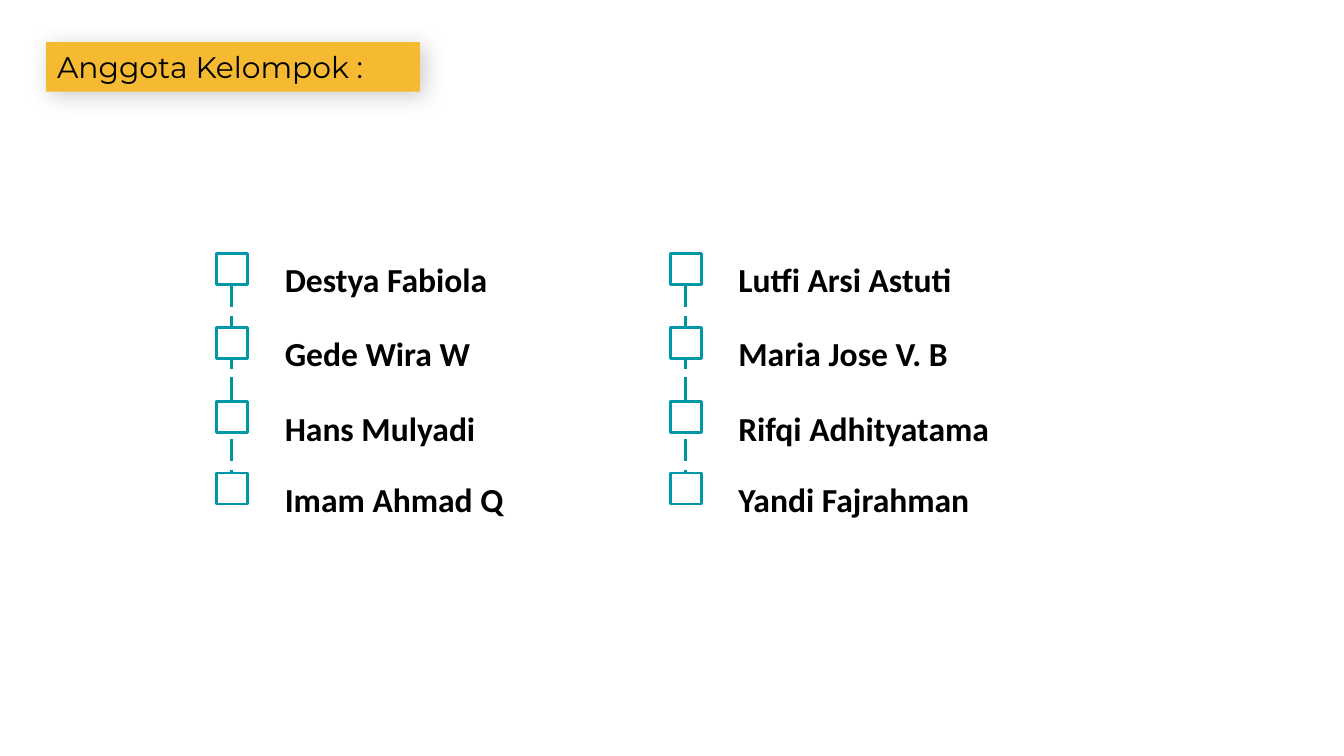
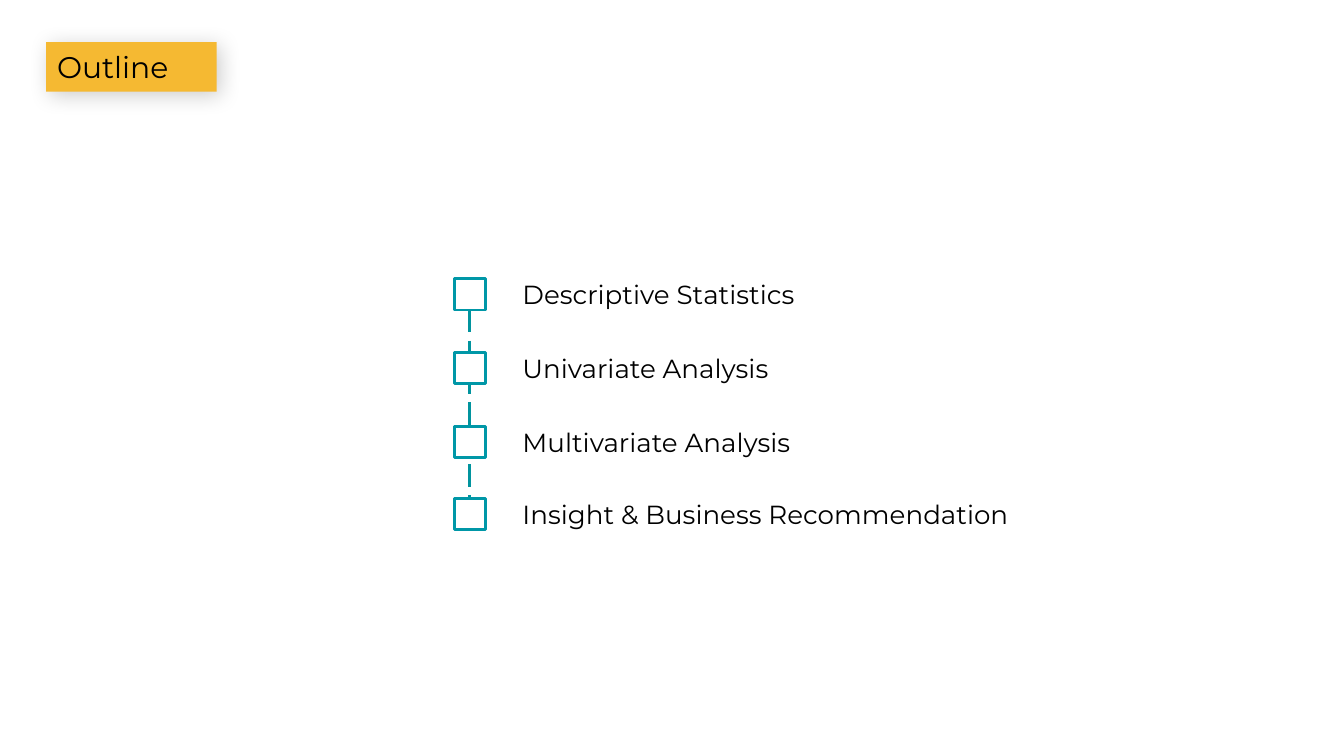
"""Build the group members slide and the outline slide."""
from dataclasses import dataclass
from itertools import pairwise
from typing import Any

from lxml import etree
from pptx import Presentation
from pptx import util as u
from pptx.dml.color import RGBColor
from pptx.enum import dml, shapes, text
from pptx.oxml import parse_xml
from pptx.oxml.ns import nsdecls, qn

PX = 5715
POINTS_PER_PX = 0.45
PAGE_WIDTH, PAGE_HEIGHT = 1600, 900

BLACK = RGBColor(0x00, 0x00, 0x00)
WHITE = RGBColor(0xFF, 0xFF, 0xFF)
YELLOW = RGBColor(0xF5, 0xB9, 0x32)
TEAL = RGBColor(0x00, 0x97, 0xA7)
LINE_TEAL = RGBColor(0x01, 0x94, 0x9E)

TITLE_LEFT, TITLE_TOP, TITLE_HEIGHT = 55, 50, 59
TITLE_SIDE, TITLE_EDGE = 13, 6
ROW_OFFSETS = (0, 88, 176, 261)
SQUARE = 37
TEXT_SHIFT, TEXT_RISE = 65, 17
BODY_INSET = 16
LINE_RATIO = 1.19
LAYOUT_BY_COLUMNS = {1: 1, 2: 3}

TITLE_GEOMETRY = (
    f'<a:prstGeom {nsdecls("a")} prst="roundRect"><a:avLst>'
    '<a:gd name="adj" fmla="val 10700"/></a:avLst></a:prstGeom>'
)
TITLE_SHADOW = (
    f'<a:effectLst {nsdecls("a")}><a:outerShdw blurRad="152400" dist="38100" '
    'dir="2700000" algn="tl" rotWithShape="0"><a:srgbClr val="000000">'
    '<a:alpha val="20000"/></a:srgbClr></a:outerShdw></a:effectLst>'
)


@dataclass(frozen=True)
class ListStyle:
    font: str
    size: int
    bold: bool
    spacing: float

    @property
    def line_height(self) -> float:
        return self.size * LINE_RATIO * self.spacing


@dataclass(frozen=True)
class Checklist:
    left: int
    top: int
    width: int
    items: tuple[str, ...]


@dataclass(frozen=True)
class PageContent:
    title: str
    title_width: int
    style: ListStyle
    columns: tuple[Checklist, ...]


NAMES = ListStyle("Calibri", 18, True, 1.15)
TOPICS = ListStyle("Montserrat", 14, False, 1.0)

PAGES = (
    PageContent("Anggota Kelompok :", 445, NAMES, (
        Checklist(258, 302, 453, (
            "Destya Fabiola", "Gede Wira W", "Hans Mulyadi", "Imam Ahmad Q")),
        Checklist(798, 302, 478, (
            "Lutfi Arsi Astuti", "Maria Jose V. B",
            "Rifqi Adhityatama", "Yandi Fajrahman")),
    )),
    PageContent("Outline", 203, TOPICS, (
        Checklist(541, 332, 690, (
            "Descriptive Statistics", "Univariate Analysis",
            "Multivariate Analysis", "Insight & Business Recommendation")),
    )),
)


def apply_format(target: Any, values: dict[str, Any]) -> None:
    for name, value in values.items():
        setattr(target, name, value)


def place(box: Any, left: int, top: int, width: int, height: int) -> None:
    apply_format(box, {"left": left * PX, "top": top * PX,
                       "width": width * PX, "height": height * PX})


def format_frame(frame: Any, side: int, edge: int, anchor: Any) -> None:
    apply_format(frame, {
        "margin_left": side * PX, "margin_right": side * PX,
        "margin_top": edge * PX, "margin_bottom": edge * PX,
        "word_wrap": True, "auto_size": text.MSO_AUTO_SIZE.NONE,
        "vertical_anchor": anchor,
    })


def format_font(font: Any, name: str, size: int, bold: bool) -> None:
    apply_format(font, {"name": name, "size": u.Pt(size), "bold": bold})
    font.color.rgb = BLACK


def draw_title(page: Any, content: PageContent) -> None:
    box = page.shapes.title
    place(box, TITLE_LEFT, TITLE_TOP, content.title_width, TITLE_HEIGHT)
    properties = box._element.spPr
    properties.append(parse_xml(TITLE_GEOMETRY))
    box.fill.solid()
    box.fill.fore_color.rgb = YELLOW
    properties.append(parse_xml(TITLE_SHADOW))
    box.text_frame.text = content.title
    format_frame(box.text_frame, TITLE_SIDE, TITLE_EDGE, text.MSO_ANCHOR.MIDDLE)
    para = box.text_frame.paragraphs[0]
    para.alignment = text.PP_ALIGN.LEFT
    format_font(para.runs[0].font, "Montserrat", 16, False)


def draw_connector(page: Any, column: Checklist) -> None:
    center = (column.left + SQUARE // 2) * PX
    start = (column.top + SQUARE) * PX
    end = start + ROW_OFFSETS[-1] * PX
    line = page.shapes.add_connector(
        shapes.MSO_CONNECTOR.STRAIGHT, center, start, center, end)
    apply_format(line.line, {"width": u.Pt(1.5),
                             "dash_style": dml.MSO_LINE.LONG_DASH})
    line.line.color.rgb = LINE_TEAL
    etree.SubElement(line._element.spPr, qn("a:effectLst"))


def draw_square(page: Any, left: int, top: int) -> None:
    square = page.shapes.add_shape(
        shapes.MSO_SHAPE.RECTANGLE, left * PX, top * PX, SQUARE * PX, SQUARE * PX)
    square.shadow.inherit = False
    square.fill.solid()
    square.fill.fore_color.rgb = WHITE
    square.line.color.rgb = TEAL
    square.line.width = u.Pt(1.5)


def fill_list(box: Any, column: Checklist, style: ListStyle) -> None:
    height = ROW_OFFSETS[-1] + 2 * BODY_INSET + round(style.line_height / POINTS_PER_PX)
    place(box, column.left + TEXT_SHIFT, column.top - TEXT_RISE,
          column.width, height)
    frame = box.text_frame
    frame.text = "\n".join(column.items)
    format_frame(frame, BODY_INSET, BODY_INSET, text.MSO_ANCHOR.TOP)
    gaps = [0.0] + [(lower - upper) * POINTS_PER_PX - style.line_height
                    for upper, lower in pairwise(ROW_OFFSETS)]
    for para, gap in zip(frame.paragraphs, gaps):
        apply_format(para, {"alignment": text.PP_ALIGN.LEFT,
                            "line_spacing": style.spacing,
                            "space_before": u.Pt(gap), "space_after": u.Pt(0)})
        settings = para._p.get_or_add_pPr()
        settings.set("marL", "0")
        settings.set("indent", "0")
        etree.SubElement(settings, qn("a:buNone"))
        format_font(para.runs[0].font, style.font, style.size, style.bold)


def draw_page(deck: Any, content: PageContent) -> None:
    layout = deck.slide_layouts[LAYOUT_BY_COLUMNS[len(content.columns)]]
    page = deck.slides.add_slide(layout)
    draw_title(page, content)
    bodies = list(page.placeholders)[1:]
    for box, column in zip(bodies, content.columns):
        fill_list(box, column, content.style)
        draw_connector(page, column)
        for offset in ROW_OFFSETS:
            draw_square(page, column.left, column.top + offset)


def main() -> None:
    deck = Presentation()
    apply_format(deck, {"slide_width": PAGE_WIDTH * PX,
                        "slide_height": PAGE_HEIGHT * PX})
    for content in PAGES:
        draw_page(deck, content)
    deck.save("out.pptx")


if __name__ == "__main__":
    main()
